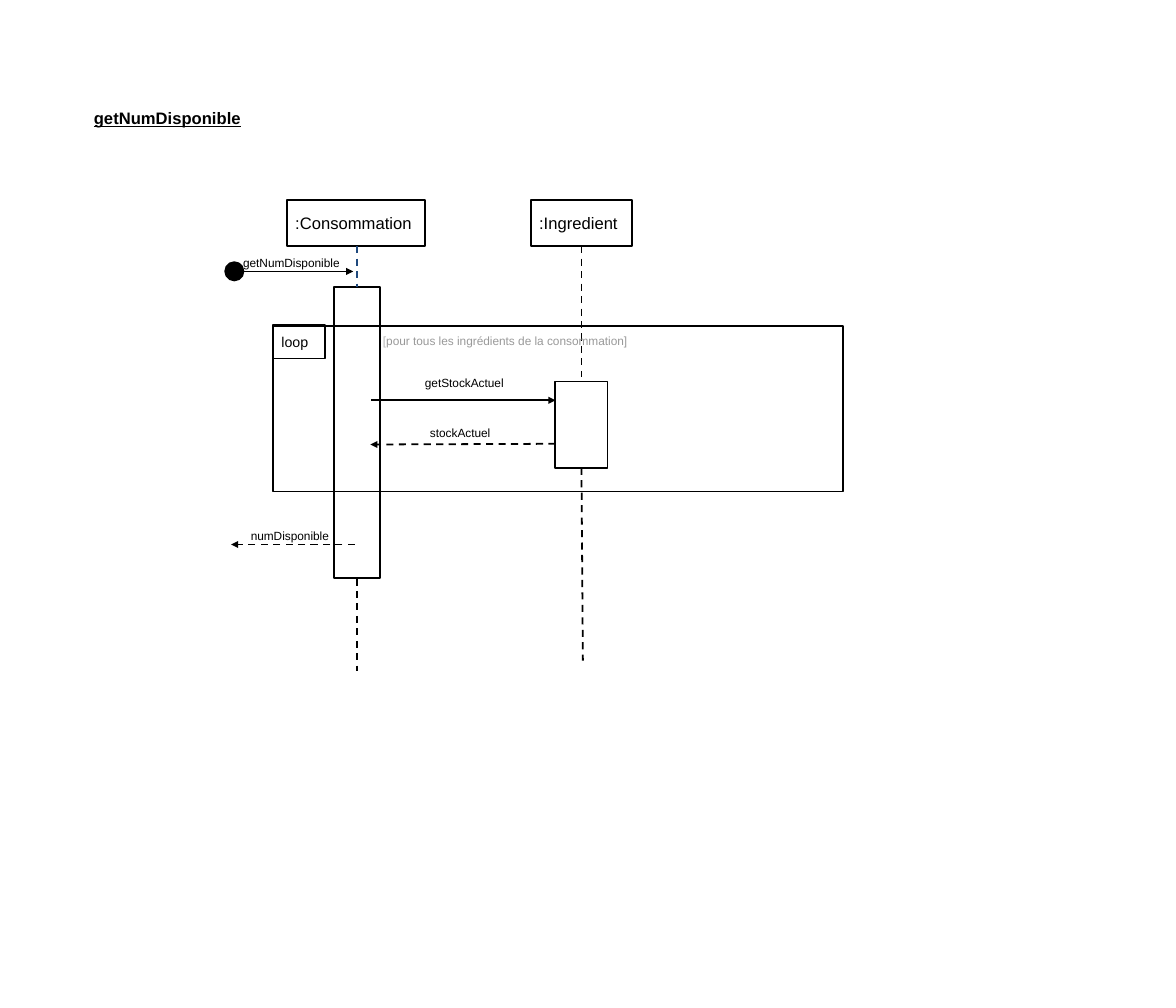
from pptx import Presentation
from pptx.dml.color import RGBColor
from pptx.enum import dml, shapes, text
from pptx.oxml.ns import qn
from pptx.util import Pt
from lxml import etree

# Content, with lengths in points
COLORS = {"ink": "000000", "blue": "1F497D", "bracket": "B7B7B7", "guard": "999999"}
FONT, LINE_WIDTH, INSET = "Arial", 1.5, 7.2
TITLE = ("getNumDisponible", (72, 84.2, 154.8, 28.1))
HEAD_TOP, HEAD_HEIGHT = 168.7, 39
# name, head left, head width, centre, bar width, bar top, bar bottom,
# end of upper lifeline, foot (x, y), colour of upper lifeline
PARTICIPANTS = [
    (":Consommation", 242, 116.6, 301, 39, 242, 488, 242, (301, 566), "blue"),
    (":Ingredient", 447.8, 85.7, 490.6, 44, 321.8, 394.6, 318.2, (491.8, 557.3), "ink"),
]
# label, label box, start, end, dashed
MESSAGES = [
    ("getNumDisponible", (198, 208.1, 106.6, 14.4), (204.5, 229), (298, 229), False),
    ("getStockActuel", (351.4, 313.2, 116.6, 7.9), (313.2, 337.7), (468.7, 337.7), False),
    ("stockActuel", (355.7, 355, 79.2, 7.9), (468.7, 374.4), (312.5, 375), True),
    ("numDisponible", (204.5, 438.5, 92.9, 14.4), (299.5, 459.4), (195, 459.4), True),
]
START_DOT = (190, 221.2, 15.4, 15.4)
LOOP_FRAME = (230.4, 275, 481, 139.7)
LOOP_TAB = ("loop", (230.4, 274.3, 44, 28.1))
GUARD = ([("[", "bracket"), ("pour tous les ingrédients de la consommation]", "guard")],
         (316, 274.3, 270.7, 14.4))

presentation = Presentation()
presentation.slide_width, presentation.slide_height = Pt(992.2), Pt(850.4)
slide = presentation.slides.add_slide(presentation.slide_layouts[5])


def color(name):
    return RGBColor.from_string(COLORS[name])


def write(shape, runs, size, anchor=text.MSO_ANCHOR.TOP):
    frame = shape.text_frame
    frame.word_wrap = True
    frame.auto_size = text.MSO_AUTO_SIZE.NONE
    frame.vertical_anchor = anchor
    frame.margin_left = frame.margin_right = Pt(INSET)
    frame.margin_top = frame.margin_bottom = Pt(INSET)
    paragraph = frame.paragraphs[0]
    paragraph.alignment = text.PP_ALIGN.LEFT
    paragraph.font.name, paragraph.font.size = FONT, Pt(size)
    for words, name in runs:
        run = paragraph.add_run()
        run.text = words
        run.font.color.rgb = color(name)
    return paragraph


def add_outline(box, kind=shapes.MSO_SHAPE.RECTANGLE, label="", size=14):
    shape = slide.shapes.add_shape(kind, *map(Pt, box))
    shape.shadow.inherit = False
    shape.fill.background()
    shape.line.color.rgb = color("ink")
    shape.line.width = Pt(LINE_WIDTH)
    if label:
        write(shape, [(label, "ink")], size, text.MSO_ANCHOR.MIDDLE)
    return shape


def add_label(runs, box):
    write(slide.shapes.add_textbox(*map(Pt, box)), runs, 10)


def add_line(start, end, name="ink", dashed=True, arrow=False):
    line = slide.shapes.add_connector(shapes.MSO_CONNECTOR.STRAIGHT, *map(Pt, start + end))
    line.line.color.rgb = color(name)
    line.line.width = Pt(LINE_WIDTH)
    if dashed:
        line.line.dash_style = dml.MSO_LINE.DASH
    if arrow:
        etree.SubElement(line.line._get_or_add_ln(), qn("a:tailEnd"), type="triangle")
    etree.SubElement(line._element.spPr, qn("a:effectLst"))


# Title
title_words, title_box = TITLE
title = slide.shapes.title
title.left, title.top, title.width, title.height = map(Pt, title_box)
title_paragraph = write(title, [(title_words, "ink")], 14)
title_paragraph.font.bold = title_paragraph.font.underline = True

# Participants: head, activation bar and two lifeline pieces
head_bottom = HEAD_TOP + HEAD_HEIGHT
for (name, left, width, centre, bar_width, bar_top, bar_bottom,
     upper_end, foot, upper_color) in PARTICIPANTS:
    add_outline((left, HEAD_TOP, width, HEAD_HEIGHT), label=name)
    add_outline((centre - bar_width / 2, bar_top, bar_width, bar_bottom - bar_top))
    add_line((centre, head_bottom), (centre, upper_end), upper_color)
    add_line((centre, bar_bottom), foot)

# Loop frame
add_outline(LOOP_FRAME)
tab_label, tab_box = LOOP_TAB
add_outline(tab_box, label=tab_label, size=12)
add_label(*GUARD)

# Messages
dot = add_outline(START_DOT, shapes.MSO_SHAPE.OVAL)
dot.fill.solid()
dot.fill.fore_color.rgb = color("ink")
for words, box, start, end, dashed in MESSAGES:
    add_line(start, end, dashed=dashed, arrow=True)
    add_label([(words, "ink")], box)

presentation.save("out.pptx")
